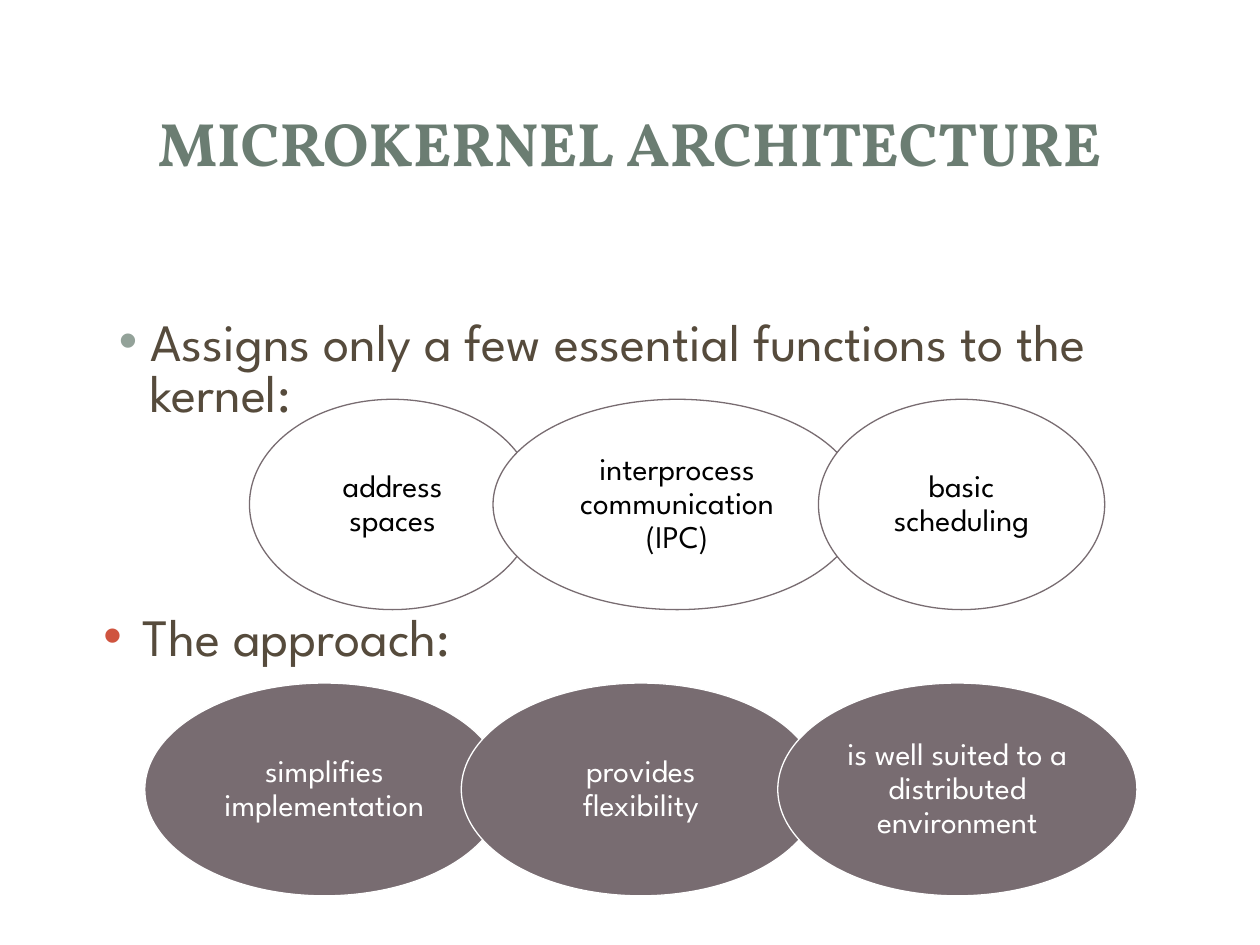
from lxml.etree import SubElement as Sub
from pptx import Presentation
from pptx.dml.color import RGBColor
from pptx.enum.shapes import MSO_SHAPE as Kind
from pptx.enum.text import MSO_ANCHOR as Anchor, MSO_AUTO_SIZE as Fit, PP_ALIGN as Align
from pptx.oxml.ns import qn
from pptx.util import Cm, Pt

# Content
TITLE = "MICROKERNEL ARCHITECTURE"
HEX = {"title": "6B7D72", "body": "564B3C", "sage": "93A299", "red": "CF543F",
       "plum": "786C71", "white": "FFFFFF", "black": "000000"}
HEAD, SANS = "Vollkorn", "League Spartan"

# Text, level, bullet colour, indent (cm), hanging (cm), space before (pt)
POINTS = [
    ("Assigns only a few essential functions to the kernel:", 0, "sage", 0.95, 0.64, 6),
    ("The approach:", 1, "red", 0.79, 0.79, 111),
]

# Rows of overlapping ovals: each oval has a text and a width (cm)
OVERLAP = 0.86
ROWS = [
    dict(left=5.03, top=8.05, high=4.24, fill="white", line="plum", ink="black",
         ovals=[("address spaces", 5.77),
                ("interprocess communication (IPC)", 7.42),
                ("basic scheduling", 5.77)]),
    dict(left=2.92, top=13.77, high=4.29, fill="plum", line="white", ink="white",
         ovals=[("simplifies implementation", 7.24),
                ("provides flexibility", 7.24),
                ("is well suited to a distributed environment", 7.24)]),
]


def color(name):
    return RGBColor.from_string(HEX[name])


def place(shape, left, top, wide, high):
    shape.left, shape.top, shape.width, shape.height = map(Cm, (left, top, wide, high))


def write(para, text, size, font, ink, bold=False):
    run = para.add_run()
    run.text = text
    run.font.size, run.font.name, run.font.bold = Pt(size), font, bold
    run.font.color.rgb = color(ink)


def bullet(para, ink, indent, hang):
    props = para._p.get_or_add_pPr()
    props.set("marL", str(Cm(indent)))
    props.set("indent", str(-Cm(hang)))
    Sub(Sub(props, qn("a:buClr")), qn("a:srgbClr"), val=HEX[ink])
    Sub(props, qn("a:buFont"), typeface="Arial")
    Sub(props, qn("a:buChar"), char="•")


def oval(slide, text, left, wide, row):
    shape = slide.shapes.add_shape(Kind.OVAL, 0, 0, 0, 0)
    place(shape, left, row["top"], wide, row["high"])
    shape.shadow.inherit = False
    shape.fill.solid()
    shape.fill.fore_color.rgb = color(row["fill"])
    shape.line.color.rgb = color(row["line"])
    shape.line.width = Pt(0.75)
    frame = shape.text_frame
    frame.word_wrap, frame.vertical_anchor = True, Anchor.MIDDLE
    frame.margin_left = frame.margin_right = Cm(0.23)
    frame.margin_top = frame.margin_bottom = Cm(0.08)
    para = frame.paragraphs[0]
    para.alignment, para.line_spacing = Align.CENTER, 0.9
    write(para, text, 18, SANS, row["ink"])


def main():
    deck = Presentation()
    deck.slide_width, deck.slide_height = Cm(25.4), Cm(19.05)
    slide = deck.slides.add_slide(deck.slide_layouts[1])
    title, body = slide.placeholders

    # Title
    place(title, 1.83, 1.27, 21.74, 3.18)
    title.text_frame.auto_size = Fit.NONE
    title.text_frame.vertical_anchor = Anchor.MIDDLE
    para = title.text_frame.paragraphs[0]
    para.alignment = Align.CENTER
    write(para, TITLE, 35, HEAD, "title", bold=True)

    # Bulleted list, with room for the first row of ovals
    place(body, 1.83, 6.35, 21.79, 11)
    frame = body.text_frame
    frame.auto_size = Fit.NONE
    for i, (text, level, ink, indent, hang, gap) in enumerate(POINTS):
        para = frame.add_paragraph() if i else frame.paragraphs[0]
        para.level, para.line_spacing, para.space_before = level, 0.8, Pt(gap)
        bullet(para, ink, indent, hang)
        write(para, text, 30, SANS, "body")

    # Ovals
    for row in ROWS:
        left = row["left"]
        for text, wide in row["ovals"]:
            oval(slide, text, left, wide, row)
            left += wide - OVERLAP

    deck.save("out.pptx")


if __name__ == "__main__":
    main()
